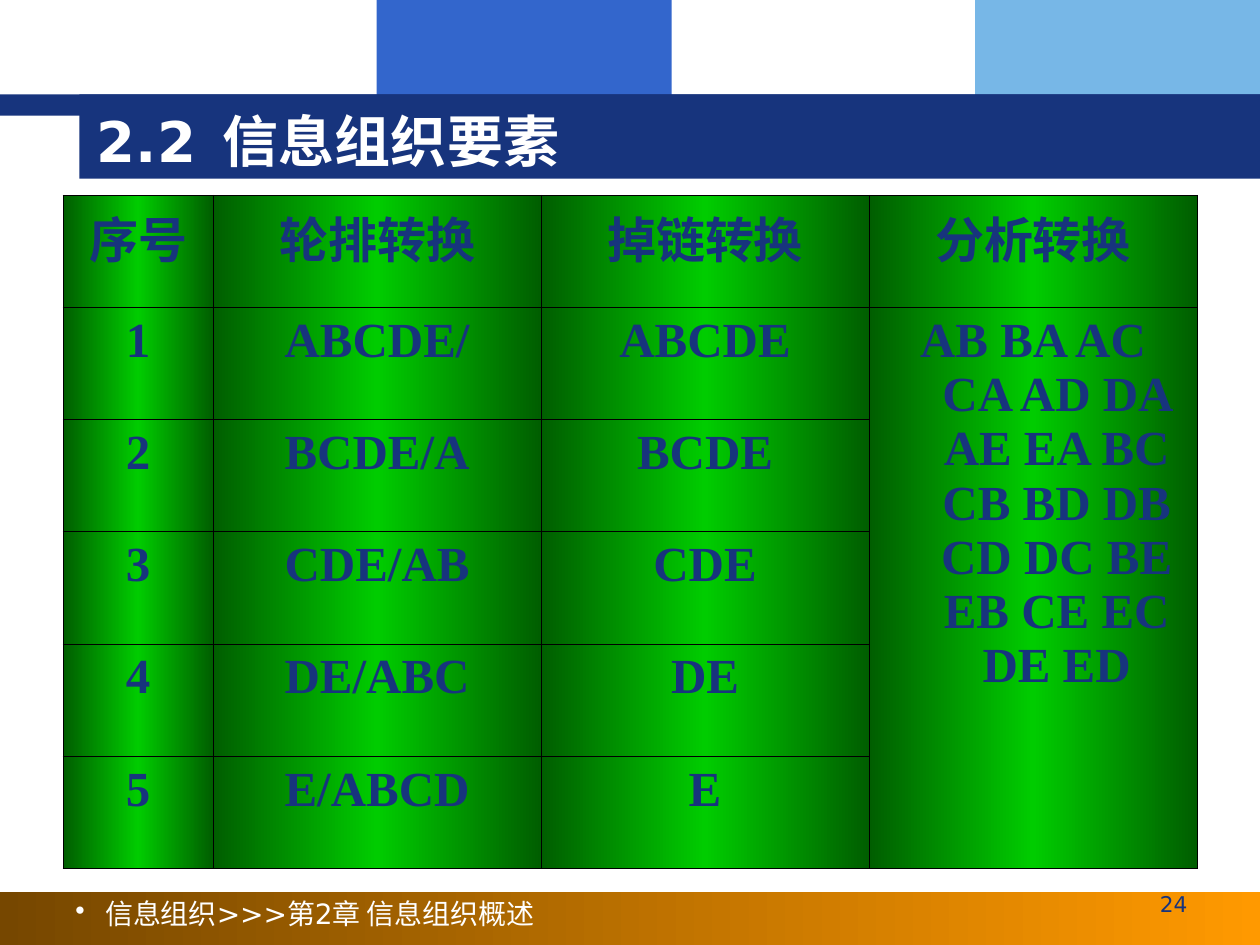
from lxml import etree
from pptx import Presentation
from pptx.dml.color import RGBColor
from pptx.enum import shapes, text
from pptx.oxml import ns
from pptx.util import Pt

HUE = {"navy": "17347D", "blue": "3366CC", "sky": "77B7E7", "white": "FFFFFF",
       "brown": "764700", "amber": "FF9900", "dark": "005E00", "green": "00CC00",
       "black": "000000"}
SANS, SERIF = "DejaVu Sans", "Times New Roman"
TITLE = "2.2\t信息组织要素"
FOOT = "信息组织>>>第2章 信息组织概述"
PAGE = "24"
HEAD = ["序号", "轮排转换", "掉链转换", "分析转换"]
CHAINS = ["ABCDE", "BCDE", "CDE", "DE", "E"]
TURNS = ["ABCDE/", "BCDE/A", "CDE/AB", "DE/ABC", "E/ABCD"]
PAIRS = "AB BA AC CA AD DA AE EA BC CB BD DB CD DC BE EB CE EC DE ED"
ROWS = [HEAD] + [[str(n + 1), turn, chain, "" if n else PAIRS]
                 for n, (turn, chain) in enumerate(zip(TURNS, CHAINS))]
BANDS = [
    (215.3, 0, 168.5, 66.2, ["blue"]),
    (557.3, 0, 162.7, 66.2, ["sky"]),
    (0, 509.8, 720, 30.2, ["brown", "amber"]),
    (0, 54, 720, 12.2, ["navy"]),
    (45.4, 54, 674.6, 48.2, ["navy"]),
]
WIDTHS = [85.8, 187.4, 187.4, 187.4]
HIGH = 64.1


def sub(node, tag, **attrs):
    return etree.SubElement(node, ns.qn(tag), attrs)


def paint(fill, node, names):
    if len(names) == 1:
        fill.solid()
        fill.fore_color.rgb = RGBColor.from_string(HUE[names[0]])
        return
    fill.gradient()
    fill.gradient_angle = 0
    stops = next(node.iter(ns.qn("a:gsLst")))
    for old in list(stops):
        stops.remove(old)
    for n, name in enumerate(names):
        stop = sub(stops, "a:gs", pos=str(n * 100000 // (len(names) - 1)))
        sub(stop, "a:srgbClr", val=HUE[name])


def write(frame, words, size, font, hue, align, bold=False):
    para = frame.paragraphs[0]
    para.alignment = align
    run = para.add_run()
    run.text = words
    run.font.size, run.font.name, run.font.bold = Pt(size), font, bold
    run.font.color.rgb = RGBColor.from_string(HUE[hue])
    return para


def indent(para, left):
    props = para._p.get_or_add_pPr()
    props.set("marL", str(Pt(left)))
    props.set("indent", str(-Pt(left)))
    return props


def label(left, top, width, height, *look):
    box = slide.shapes.add_textbox(Pt(left), Pt(top), Pt(width), Pt(height))
    box.text_frame.word_wrap = True
    return write(box.text_frame, *look)


def border(cell):
    props = cell._tc.get_or_add_tcPr()
    for n, side in enumerate(["L", "R", "T", "B"]):
        line = etree.Element(ns.qn("a:ln" + side), w=str(Pt(0.45)))
        sub(sub(line, "a:solidFill"), "a:srgbClr", val=HUE["black"])
        props.insert(n, line)


LEFT, MID = text.PP_ALIGN.LEFT, text.PP_ALIGN.CENTER
deck = Presentation()
deck.slide_width, deck.slide_height = Pt(720), Pt(540)
slide = deck.slides.add_slide(deck.slide_layouts[5])

for *place, names in BANDS:
    band = slide.shapes.add_shape(shapes.MSO_SHAPE.RECTANGLE, *map(Pt, place))
    band.shadow.inherit = False
    band.line.fill.background()
    paint(band.fill, band._element.spPr, names)

foot = label(36, 509, 318, 25.2, FOOT, 16, SANS, "white", LEFT)
props = indent(foot, 17)
sub(sub(props, "a:buClr"), "a:srgbClr", val=HUE["white"])
sub(props, "a:buChar", char="•")
page = label(643.7, 508.3, 54, 25.2, PAGE, 12.4, SANS, "navy", MID)
page.line_spacing = 0.8

title = slide.shapes.title
title.left, title.top, title.width, title.height = map(Pt, (48.2, 57.6, 623.5, 44.6))
title.text_frame.auto_size = text.MSO_AUTO_SIZE.NONE
title.text_frame.vertical_anchor = text.MSO_ANCHOR.MIDDLE
write(title.text_frame, TITLE, 32, SANS, "white", LEFT, True)
slide.shapes._spTree.append(title._element)

grid = slide.shapes.add_table(len(ROWS), len(HEAD), Pt(36), Pt(111.6),
                              Pt(sum(WIDTHS)), Pt(HIGH * len(ROWS))).table
for col, width in zip(grid.columns, WIDTHS):
    col.width = Pt(width)
for r, row in enumerate(ROWS):
    grid.rows[r].height = Pt(HIGH)
    for c, words in enumerate(row):
        cell = grid.cell(r, c)
        paint(cell.fill, cell._tc, ["dark", "green", "dark"])
        border(cell)
        if words:
            indent(write(cell.text_frame, words, 28, SERIF, "navy", MID, True), 27)
grid.cell(1, 3).merge(grid.cell(len(ROWS) - 1, 3))

deck.save("out.pptx")
